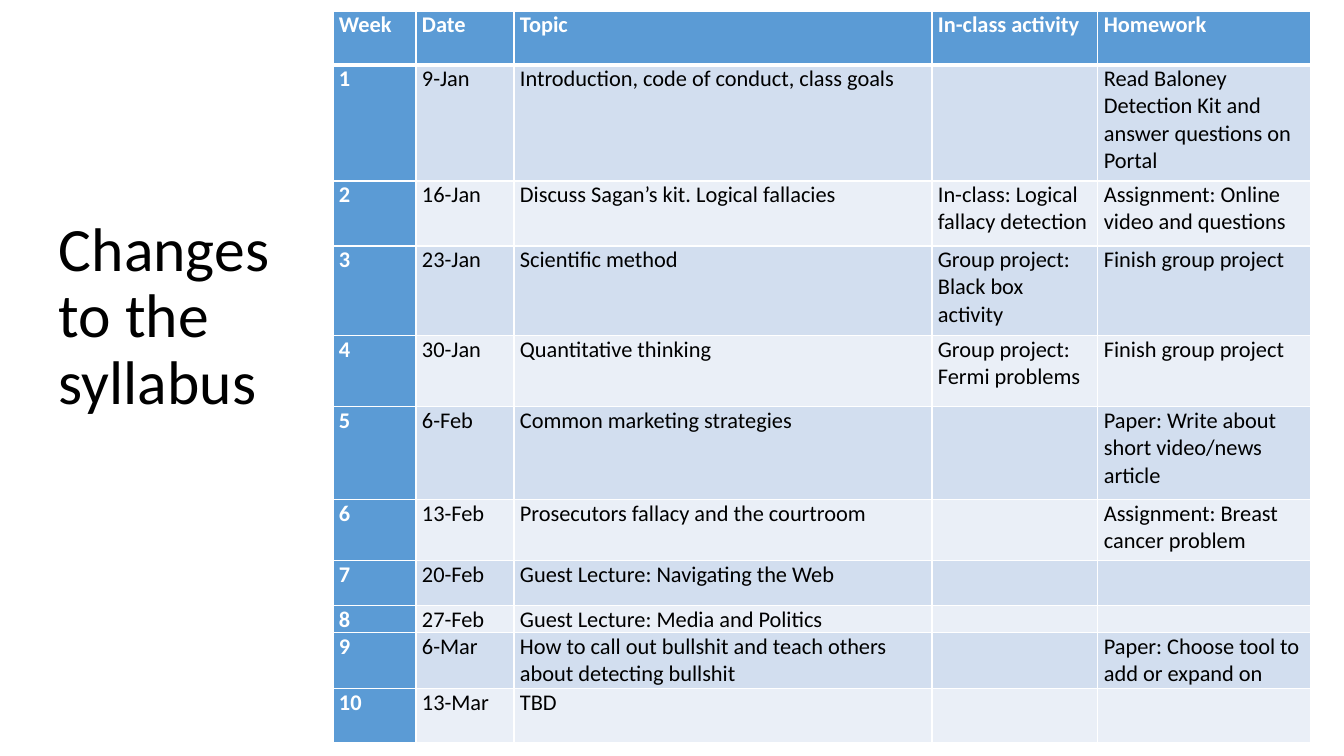
import pptx
import pptx.util
import pptx.dml.color
import pptx.enum.text
import pptx.oxml.ns
from dataclasses import dataclass
from lxml import etree

SCALE = 9144000 / 1008
FONT = "Calibri"
BLUE, WHITE, BLACK = "5B9BD5", "FFFFFF", "000000"
BANDS = ["D2DEEF", "EAEFF7"]
WIDTHS = [83, 98, 418, 166, 213]
HEADS = ["Week", "Date", "Topic", "In-class activity", "Homework"]


@dataclass
class Week:
    high: int
    date: str
    topic: str
    task: str = ""
    home: str = ""


WEEKS = [
    Week(116, "9-Jan", "Introduction, code of conduct, class goals",
         home="Read Baloney Detection Kit and answer questions on Portal"),
    Week(65, "16-Jan", "Discuss Sagan’s kit. Logical fallacies",
         "In-class: Logical fallacy detection", "Assignment: Online video and questions"),
    Week(90, "23-Jan", "Scientific method",
         "Group project: Black box activity", "Finish group project"),
    Week(71, "30-Jan", "Quantitative thinking",
         "Group project: Fermi problems", "Finish group project"),
    Week(93, "6-Feb", "Common marketing strategies",
         home="Paper: Write about short video/news article"),
    Week(61, "13-Feb", "Prosecutors fallacy and the courtroom",
         home="Assignment: Breast cancer problem"),
    Week(45, "20-Feb", "Guest Lecture: Navigating the Web"),
    Week(27, "27-Feb", "Guest Lecture: Media and Politics"),
    Week(56, "6-Mar", "How to call out bullshit and teach others about detecting bullshit",
         home="Paper: Choose tool to add or expand on"),
    Week(54, "13-Mar", "TBD"),
]


def px(size: int) -> pptx.util.Emu:
    return pptx.util.Emu(round(size * SCALE))


def color(code: str) -> pptx.dml.color.RGBColor:
    return pptx.dml.color.RGBColor.from_string(code)


def style(para, size: int, code: str, bold: bool = False) -> None:
    para.font.name = FONT
    para.font.size = pptx.util.Pt(size)
    para.font.bold = bold
    para.font.color.rgb = color(code)


def edge(cell, side: str, width: int) -> None:
    name = pptx.oxml.ns.qn
    props = cell._tc.get_or_add_tcPr()
    line = etree.SubElement(props, name(f"a:ln{side}"), w=str(pptx.util.Pt(width)))
    fill = etree.SubElement(line, name("a:solidFill"))
    etree.SubElement(fill, name("a:srgbClr"), val=WHITE)


def paint(cell, text: str, row: int, col: int) -> None:
    strong = row == 0 or col == 0
    cell.text = text
    cell.margin_left = cell.margin_right = px(6)
    cell.margin_top = cell.margin_bottom = 0
    style(cell.text_frame.paragraphs[0], 16, WHITE if strong else BLACK, strong)
    for side in "LRTB":
        thick = (row, side) in [(0, "B"), (1, "T")]
        edge(cell, side, 3 if thick else 1)
    cell.fill.solid()
    cell.fill.fore_color.rgb = color(BLUE if strong else BANDS[(row - 1) % 2])


def add_title(slide) -> None:
    box = slide.shapes.add_textbox(px(49), px(135), px(271), px(366))
    frame = box.text_frame
    frame.word_wrap = True
    frame.vertical_anchor = pptx.enum.text.MSO_ANCHOR.MIDDLE
    frame.text = "Changes to the syllabus"
    frame.paragraphs[0].line_spacing = 0.9
    style(frame.paragraphs[0], 44, BLACK)


def add_plan(slide) -> None:
    rows = [HEADS] + [[str(num), week.date, week.topic, week.task, week.home]
                      for num, week in enumerate(WEEKS, 1)]
    highs = [54] + [week.high for week in WEEKS]
    table = slide.shapes.add_table(len(rows), len(HEADS), px(333), px(11),
                                   px(sum(WIDTHS)), px(sum(highs))).table
    for col, width in enumerate(WIDTHS):
        table.columns[col].width = px(width)
    for row, texts in enumerate(rows):
        table.rows[row].height = px(highs[row])
        for col, text in enumerate(texts):
            paint(table.cell(row, col), text, row, col)


deck = pptx.Presentation()
deck.slide_width, deck.slide_height = px(1344), px(756)
page = deck.slides.add_slide(deck.slide_layouts[6])
add_title(page)
add_plan(page)
deck.save("out.pptx")
